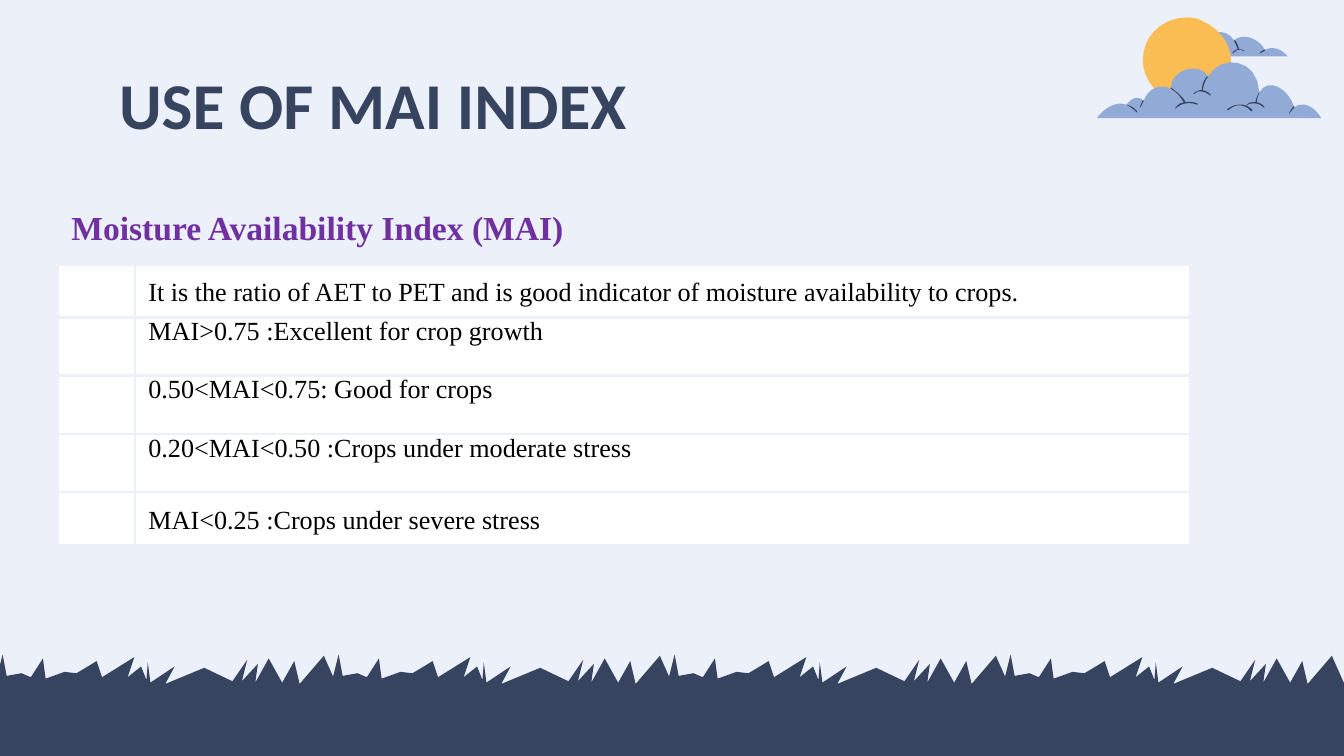
from lxml.etree import SubElement
from pptx import Presentation
from pptx.dml.color import RGBColor
from pptx.enum.shapes import MSO_SHAPE as Shape
from pptx.enum.text import MSO_ANCHOR as Anchor, MSO_AUTO_SIZE as AutoSize, PP_ALIGN as Align
from pptx.oxml.ns import qn
from pptx.util import Cm, Pt

NAVY, SKY, CLOUD, SUN = "36445F", "ECF0F8", "92AAD6", "FABD53"
WHITE, BLACK, PURPLE = "FFFFFF", "000000", "7030A0"
SERIF = "Times New Roman"
FINE = 100      # freeform units per grid unit, so that curves stay smooth
STEPS = 8       # straight pieces per curve

# Outlines: a start point, then (x, y) for a line or six numbers for a curve
TUFT_WIDTH, TUFT_TOP, TUFT_BASE = 250, 487, 515
TUFT = [
    (-3, 507), (2, 487), (5, 503), (16, 501), (23, 504), (32, 490), (34, 505), (48, 500),
    (57, 501), (72, 492), (76, 504), (100, 489), (95, 504), (105, 496), (109, 506),
    (110, 493), (112, 508), (130, 496), (123, 509), (152, 497), (173, 507), (184, 491),
    (180, 507), (192, 494), (190, 508), (200, 490), (210, 508), (219, 492), (223, 509),
    (241, 488), (253, TUFT_BASE), (-3, TUFT_BASE)]

WEATHER_LEFT, WEATHER_TOP, WEATHER_WIDTH = 816, 13, 167
BACK_CLOUD = [
    (958, 42), (864, 42), (869, 37, 872, 36, 874, 37), (882, 31, 889, 32, 892, 36),
    (897, 21, 913, 21, 918, 30), (925, 24, 937, 29, 941, 37), (946, 35, 952, 35, 958, 42)]
SUN_DISC = [
    (895, 16), (892, 14, 888, 13, 883, 13), (868, 13, 854, 23, 851, 38),
    (847, 54, 858, 70, 873, 76), (891, 82, 912, 71, 915, 52), (919, 37, 909, 22, 895, 16)]
FRONT_CLOUD = [
    (816, 88), (983, 88), (978, 79, 969, 75, 963, 80), (959, 66, 943, 57, 937, 69),
    (936, 43, 908, 40, 899, 57), (893, 46, 871, 51, 871, 66), (863, 62, 854, 66, 851, 75),
    (846, 71, 842, 73, 838, 78), (830, 75, 821, 81, 816, 88)]
BACK_CREASES = [
    [(937, 40), (939, 39, 941, 38, 941, 38), (941, 37), (941, 37, 938, 38, 937, 40)],
    [(921, 37), (922, 37), (921, 33, 919, 30, 919, 30), (918, 30), (918, 30, 920, 34, 921, 37)],
    [(893, 36), (892, 36), (891, 39), (892, 39)],
    [(917, 40), (920, 37, 923, 36, 925, 38), (926, 38), (923, 36, 920, 36, 917, 39)],
    [(876, 40), (877, 40), (876, 38, 874, 37, 874, 37), (874, 38), (874, 38, 876, 39, 876, 40)]]
FRONT_CREASES = [
    [(846, 84), (846, 83), (843, 79, 838, 78, 838, 78), (838, 78, 842, 80, 846, 84)],
    [(851, 75), (850, 75), (848, 80), (848.5, 80)],
    [(881, 77), (882, 76), (880, 72, 876, 69, 871, 65), (871, 66), (876, 69, 879, 73, 881, 77)],
    [(895, 68), (895, 61, 899, 57, 899, 57), (898, 57), (898, 57, 894, 61, 894, 68)],
    [(900, 71), (901, 71), (899, 68, 895, 67, 893, 67), (891, 68, 889, 68, 888, 70), (889, 70),
     (889, 69, 891, 68, 893, 68), (895, 68, 898, 69, 900, 71)],
    [(935, 77), (935, 73, 937, 69, 937, 69), (937, 68), (937, 69, 934, 73, 934, 77)],
    [(940, 80), (941, 80), (939, 77, 936, 76, 933, 76), (930, 76, 928, 77, 927, 79),
     (929, 77, 931, 77, 933, 77), (936, 77, 938, 78, 940, 80)],
    [(959, 85), (961, 82, 963, 80, 963, 80), (963, 79), (963, 79, 960, 81, 959, 85), (960, 85)],
    [(874, 81), (875, 81, 880, 74, 891, 78), (891, 77), (885, 75, 881, 76, 878, 77),
     (875, 79, 874, 81, 874, 81)],
    [(931, 83), (932, 82), (926, 76, 920, 78, 917, 79), (915, 80, 913, 81, 913, 82), (914, 82),
     (914, 82, 916, 80, 919, 79), (921, 78, 927, 78, 931, 83)]]
WEATHER = [
    *[(crease, NAVY) for crease in [
        [(887, 61), (886, 56), (885, 56), (886, 61)],
        [(913, 63), (914, 60, 917, 58, 917, 58), (916, 58), (916, 58, 913, 60, 912, 63)]]],
    (BACK_CLOUD, CLOUD), *[(crease, NAVY) for crease in BACK_CREASES],
    (SUN_DISC, SUN),
    (FRONT_CLOUD, CLOUD), *[(crease, NAVY) for crease in FRONT_CREASES]]

# Text of each row, and whether it is a spaced, centred row
ROWS = [
    ("It is the ratio of AET to PET and is good indicator of moisture availability to crops.", True),
    ("MAI>0.75 :Excellent for crop growth", False),
    ("0.50<MAI<0.75: Good for crops", False),
    ("0.20<MAI<0.50 :Crops under moderate stress", False),
    ("MAI<0.25 :Crops under severe stress", True)]


def color(value):
    return RGBColor.from_string(value)


def paint(shape, value):
    shape.shadow.inherit = False
    shape.fill.solid()
    shape.fill.fore_color.rgb = color(value)
    shape.line.fill.background()


def style_text(para, font, size, value, bold=False):
    for span in para.runs:
        span.font.name, span.font.size, span.font.bold = font, Pt(size), bold
        span.font.color.rgb = color(value)


def flatten(outline):
    """Turn lines and cubic curves into a list of points."""
    points = [outline[0]]
    for step in outline[1:]:
        if len(step) == 2:
            points.append(step)
            continue
        knots = [points[-1], step[:2], step[2:4], step[4:]]
        for t in (i / STEPS for i in range(1, STEPS + 1)):
            weights = ((1 - t) ** 3, 3 * t * (1 - t) ** 2, 3 * t * t * (1 - t), t ** 3)
            points.append(tuple(sum(w * knot[axis] for w, knot in zip(weights, knots))
                                for axis in (0, 1)))
    return points


def draw_outline(shapes, outline, left, top, unit, value):
    points = [(x * FINE, y * FINE) for x, y in flatten(outline)]
    builder = shapes.build_freeform(*points[0], scale=unit / FINE)
    builder.add_line_segments(points[1:], close=True)
    paint(builder.convert_to_shape(round(left), round(top)), value)


def add_grass(page, left, top, width, height):
    group = page.shapes.add_group_shape().shapes
    tuft_count = 4
    unit = width / (tuft_count * TUFT_WIDTH)
    ground = round(25 * unit)
    paint(group.add_shape(Shape.RECTANGLE, left, top + ground, width, height - ground), NAVY)
    for i in range(tuft_count):
        draw_outline(group, TUFT, left + i * TUFT_WIDTH * unit, top - TUFT_TOP * unit, unit, NAVY)


def add_weather(page, left, top, width):
    group = page.shapes.add_group_shape().shapes
    unit = width / WEATHER_WIDTH
    for outline, value in WEATHER:
        draw_outline(group, outline, left - WEATHER_LEFT * unit, top - WEATHER_TOP * unit,
                     unit, value)


def set_title(page, left, top, width, height):
    title = page.shapes.title
    title.left, title.top, title.width, title.height = left, top, width, height
    frame = title.text_frame
    frame.text = "USE OF MAI INDEX"
    frame.auto_size, frame.vertical_anchor = AutoSize.NONE, Anchor.TOP
    frame.margin_left = frame.margin_right = frame.margin_top = frame.margin_bottom = Cm(0.25)
    frame.paragraphs[0].alignment = Align.LEFT
    style_text(frame.paragraphs[0], "Calibri", 35, NAVY, True)


def add_subtitle(page, left, top, width, height):
    box = page.shapes.add_textbox(left, top, width, height)
    box.text_frame.word_wrap = True
    box.text_frame.text = "Moisture Availability Index (MAI)"
    style_text(box.text_frame.paragraphs[0], SERIF, 18, PURPLE, True)


def format_cell(cell):
    cell.margin_top = cell.margin_bottom = 0
    props = cell._tc.get_or_add_tcPr()
    for side in ("lnL", "lnR", "lnT", "lnB"):
        border = SubElement(props, qn(f"a:{side}"), w=str(Pt(1.5)))
        fill = SubElement(border, qn("a:solidFill"))
        SubElement(fill, qn("a:srgbClr"), val=SKY)
    cell.fill.solid()
    cell.fill.fore_color.rgb = color(WHITE)


def add_index_table(page, left, top, width):
    spaced_height, plain_height, marker_width = Cm(1), Cm(1.1), Cm(1.45)
    heights = [spaced_height if spaced else plain_height for _, spaced in ROWS]
    table = page.shapes.add_table(len(ROWS), 2, left, top, width, sum(heights)).table
    table.first_row = table.horz_banding = False
    table.columns[0].width, table.columns[1].width = marker_width, width - marker_width
    for row, height, (text, spaced) in zip(table.rows, heights, ROWS):
        row.height = height
        for cell in row.cells:
            format_cell(cell)
        cell = row.cells[1]
        cell.vertical_anchor = Anchor.MIDDLE if spaced else Anchor.TOP
        para = cell.text_frame.paragraphs[0]
        para.text = text
        if spaced:
            para.alignment, para.line_spacing = Align.JUSTIFY, 1.15
        style_text(para, SERIF, 14, BLACK)


def main():
    deck = Presentation()
    deck.slide_width, deck.slide_height = Cm(25.4), Cm(14.29)
    page = deck.slides.add_slide(deck.slide_layouts[5])
    page.background.fill.solid()
    page.background.fill.fore_color.rgb = color(SKY)
    add_grass(page, 0, Cm(12.37), deck.slide_width, Cm(1.92))
    set_title(page, Cm(2), Cm(0.97), Cm(21.4), Cm(1.6))
    add_index_table(page, Cm(1.1), Cm(5), Cm(21.4))
    add_weather(page, Cm(20.73), Cm(0.33), Cm(4.24))
    add_subtitle(page, Cm(1.1), Cm(3.78), Cm(11.56), Cm(1.63))
    deck.save("out.pptx")


if __name__ == "__main__":
    main()
